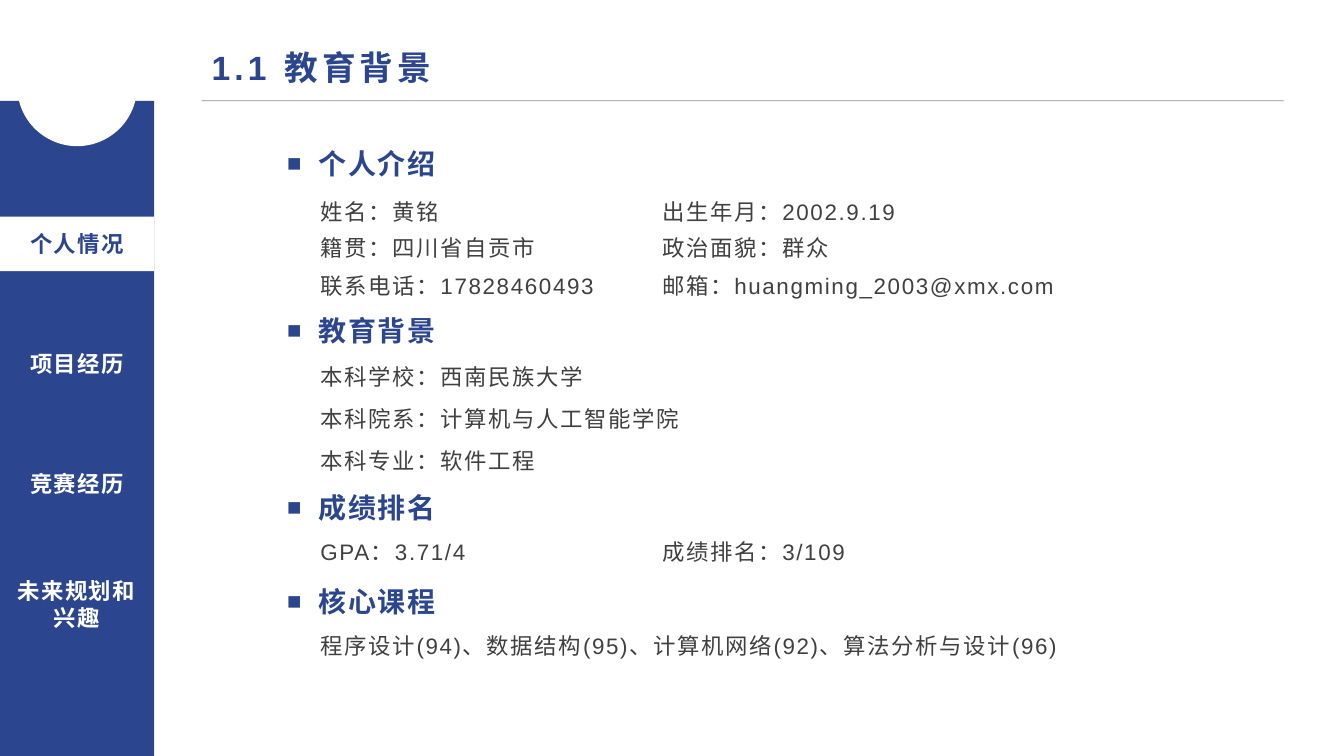
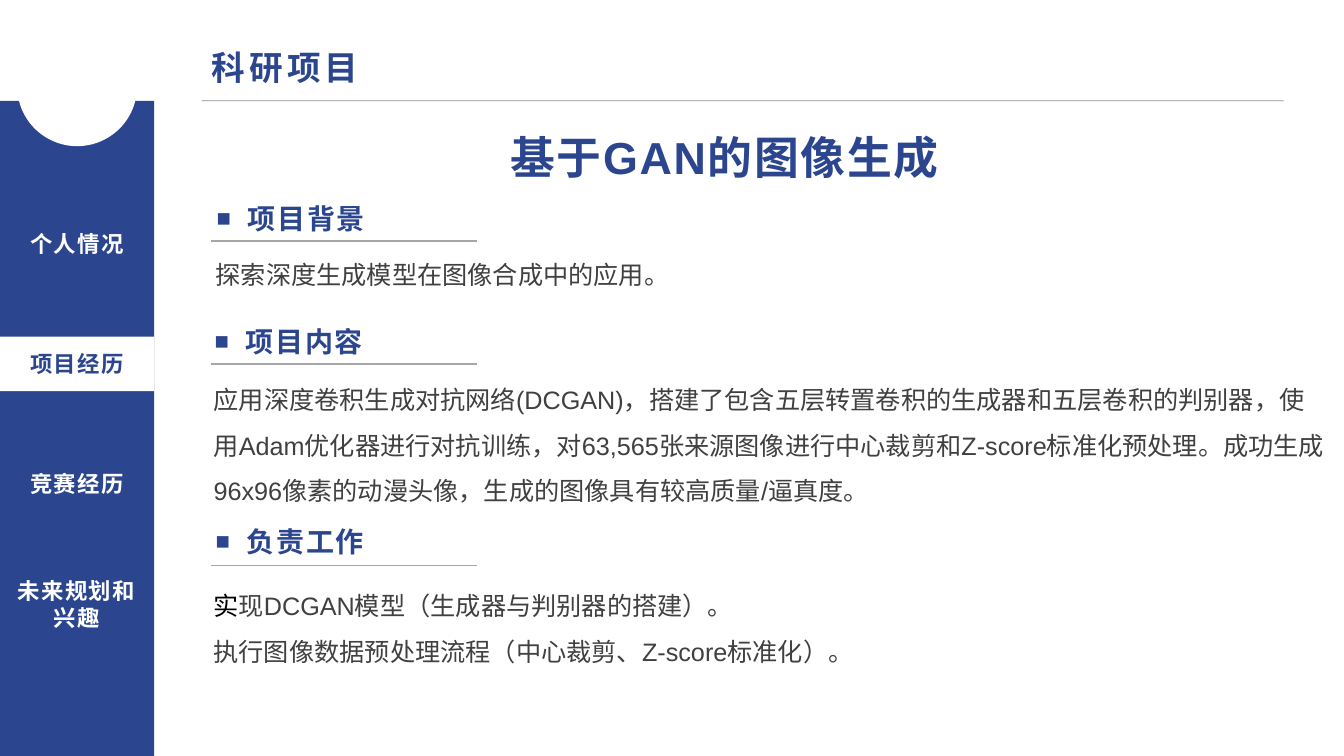
from dataclasses import dataclass

from lxml.etree import SubElement
from pptx import Presentation
from pptx.dml.color import RGBColor
from pptx.enum.shapes import MSO_CONNECTOR, MSO_SHAPE
from pptx.enum.text import MSO_ANCHOR, PP_ALIGN
from pptx.oxml.ns import qn
from pptx.util import Pt

PX = 9144  # 100 px to the inch


@dataclass(frozen=True)
class Theme:
    blue: str = "2B468E"
    white: str = "FFFFFF"
    text: str = "404040"
    black: str = "000000"
    rule: str = "0D0D0D"
    subrule: str = "A6A6A6"
    latin: str = "Arial"
    cjk: str = "Noto Sans CJK SC"
    title: int = 24
    headline: int = 32
    heading: int = 20
    body: int = 18
    small: int = 16


T = Theme()

TABS = ["个人情况", "项目经历", "竞赛经历", "未来规划和兴趣"]

# heading, heading top, rows of (top, cells)
PROFILE = [
    ("个人介绍", 140, [
        (192, ["姓名：黄铭", "出生年月：2002.9.19"]),
        (227, ["籍贯：四川省自贡市", "政治面貌：群众"]),
        (265, ["联系电话：17828460493", "邮箱：huangming_2003@xmx.com"]),
    ]),
    ("教育背景", 306, [
        (355, ["本科学校：西南民族大学"]),
        (397, ["本科院系：计算机与人工智能学院"]),
        (439, ["本科专业：软件工程"]),
    ]),
    ("成绩排名", 482, [(529, ["GPA：3.71/4", "成绩排名：3/109"])]),
    ("核心课程", 575, [
        (622, ["程序设计(94)、数据结构(95)、计算机网络(92)、算法分析与设计(96)"]),
    ]),
]
COLUMNS = [(308, 310), (647, 465)]
FULL_WIDTH = 778

HEADLINE = "基于GAN的图像生成"
# heading, heading box, rule y, body box, body anchor, paragraphs of (text, colour) runs
PROJECT = [
    ("项目背景", (205, 195, 197, 44), 239, (204, 149, 805, 232), MSO_ANCHOR.MIDDLE,
     [[("探索深度生成模型在图像合成中的应用。", T.text)]]),
    ("项目内容", (203, 317, 197, 44), 361, (202, 318, 1122, 232), MSO_ANCHOR.MIDDLE,
     [[("应用深度卷积生成对抗网络(DCGAN)，搭建了包含五层转置卷积的生成器和五层卷积的判别器，"
        "使用Adam优化器进行对抗训练，对63,565张来源图像进行中心裁剪和Z-score标准化预处理。"
        "成功生成96x96像素的动漫头像，生成的图像具有较高质量/逼真度。", T.text)]]),
    ("负责工作", (204, 515, 197, 44), 561, (202, 566, 1100, 184), MSO_ANCHOR.TOP,
     [[("实", T.black), ("现DCGAN模型（生成器与判别器的搭建）。", T.text)],
      [("执行图像数据预处理流程（中心裁剪、Z-score标准化）。", T.text)]]),
]


def emu(*lengths):
    return [n * PX for n in lengths]


def add_run(p, text, size, color, bold=False, spacing=0, font=T.latin):
    r = p.add_run()
    r.text = text
    r.font.size = Pt(size)
    r.font.bold = bold
    r.font.name = font
    r.font.color.rgb = RGBColor.from_string(color)
    rPr = r.font._element
    SubElement(rPr, qn("a:ea")).set("typeface", T.cjk)
    if spacing:
        rPr.set("spc", str(round(spacing * 100)))


def set_frame(sp, anchor):
    tf = sp.text_frame
    tf.word_wrap = True
    tf.vertical_anchor = anchor
    return tf


def add_box(s, box, anchor=MSO_ANCHOR.TOP):
    return set_frame(s.shapes.add_textbox(*emu(*box)), anchor)


def add_solid(s, kind, box, color):
    sp = s.shapes.add_shape(kind, *emu(*box))
    sp.shadow.inherit = False
    sp.fill.solid()
    sp.fill.fore_color.rgb = RGBColor.from_string(color)
    sp.line.fill.background()
    return sp


def add_rule(s, x1, x2, y, color, width, alpha=100):
    line = s.shapes.add_connector(MSO_CONNECTOR.STRAIGHT, *emu(x1, y, x2, y))
    line.line.width = Pt(width)
    line.line.color.rgb = RGBColor.from_string(color)
    spPr = line._element.spPr
    if alpha < 100:
        clr = spPr.find(".//" + qn("a:srgbClr"))
        SubElement(clr, qn("a:alpha")).set("val", str(alpha * 1000))
    SubElement(spPr, qn("a:effectLst"))


def add_heading(s, text, box):
    p = add_box(s, box).paragraphs[0]
    pPr = p._p.get_or_add_pPr()
    pPr.set("marL", str(31 * PX))
    pPr.set("indent", str(-31 * PX))
    SubElement(pPr, qn("a:buSzPct")).set("val", "85000")
    SubElement(pPr, qn("a:buFont")).set("typeface", T.latin)
    SubElement(pPr, qn("a:buChar")).set("char", "■")
    add_run(p, text, T.heading, T.blue, True, 1.2)


def add_sidebar(s, active):
    add_solid(s, MSO_SHAPE.RECTANGLE, (0, 100, 153, 650), T.blue)
    add_solid(s, MSO_SHAPE.OVAL, (17, 26, 119, 119), T.white)
    for i, tab in enumerate(TABS):
        box = (0, 215 + 119 * i, 153, 54)
        if tab == active:
            sp = add_solid(s, MSO_SHAPE.RECTANGLE, box, T.white)
            tf, color = set_frame(sp, MSO_ANCHOR.MIDDLE), T.blue
        else:
            tf, color = add_box(s, box, MSO_ANCHOR.MIDDLE), T.white
        p = tf.paragraphs[0]
        p.alignment = PP_ALIGN.CENTER
        add_run(p, tab, T.small, color, True, 1.1, T.cjk)


def new_slide(prs, title, active):
    s = prs.slides.add_slide(prs.slide_layouts[6])
    add_rule(s, 200, 1273, 100, T.rule, 0.5, 46)
    p = add_box(s, (200, 42, 1133, 50)).paragraphs[0]
    add_run(p, title, T.title, T.blue, True, 3)
    add_sidebar(s, active)
    return s


def build_profile(prs):
    s = new_slide(prs, "1.1 教育背景", TABS[0])
    for heading, top, rows in PROFILE:
        add_heading(s, heading, (275, top, 656, 44))
        for y, cells in rows:
            for text, (x, width) in zip(cells, COLUMNS):
                w = width if len(cells) > 1 else FULL_WIDTH
                p = add_box(s, (x, y, w, 37)).paragraphs[0]
                add_run(p, text, T.small, T.text, spacing=1.2)


def build_project(prs):
    s = new_slide(prs, "科研项目", TABS[1])
    p = add_box(s, (390, 123, 657, 64), MSO_ANCHOR.MIDDLE).paragraphs[0]
    p.alignment = PP_ALIGN.CENTER
    add_run(p, HEADLINE, T.headline, T.blue, True, 1.2)
    for heading, heading_box, rule_y, body_box, anchor, paragraphs in PROJECT:
        add_heading(s, heading, heading_box)
        add_rule(s, 209, 473, rule_y, T.subrule, 1)
        tf = add_box(s, body_box, anchor)
        for i, runs in enumerate(paragraphs):
            p = tf.add_paragraph() if i else tf.paragraphs[0]
            p.line_spacing = 1.5
            for text, color in runs:
                add_run(p, text, T.body, color)


def main():
    prs = Presentation()
    prs.slide_width, prs.slide_height = emu(1333, 750)
    build_profile(prs)
    build_project(prs)
    prs.save("out.pptx")


if __name__ == "__main__":
    main()
